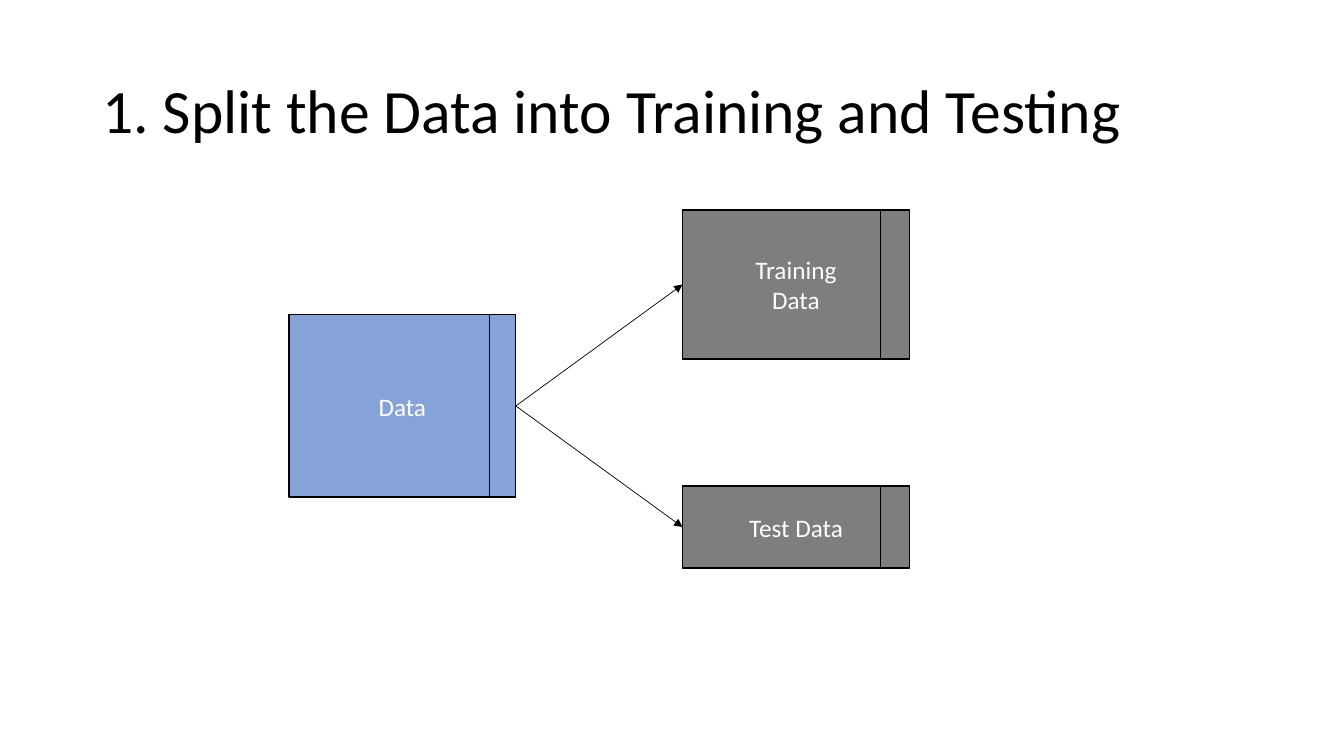
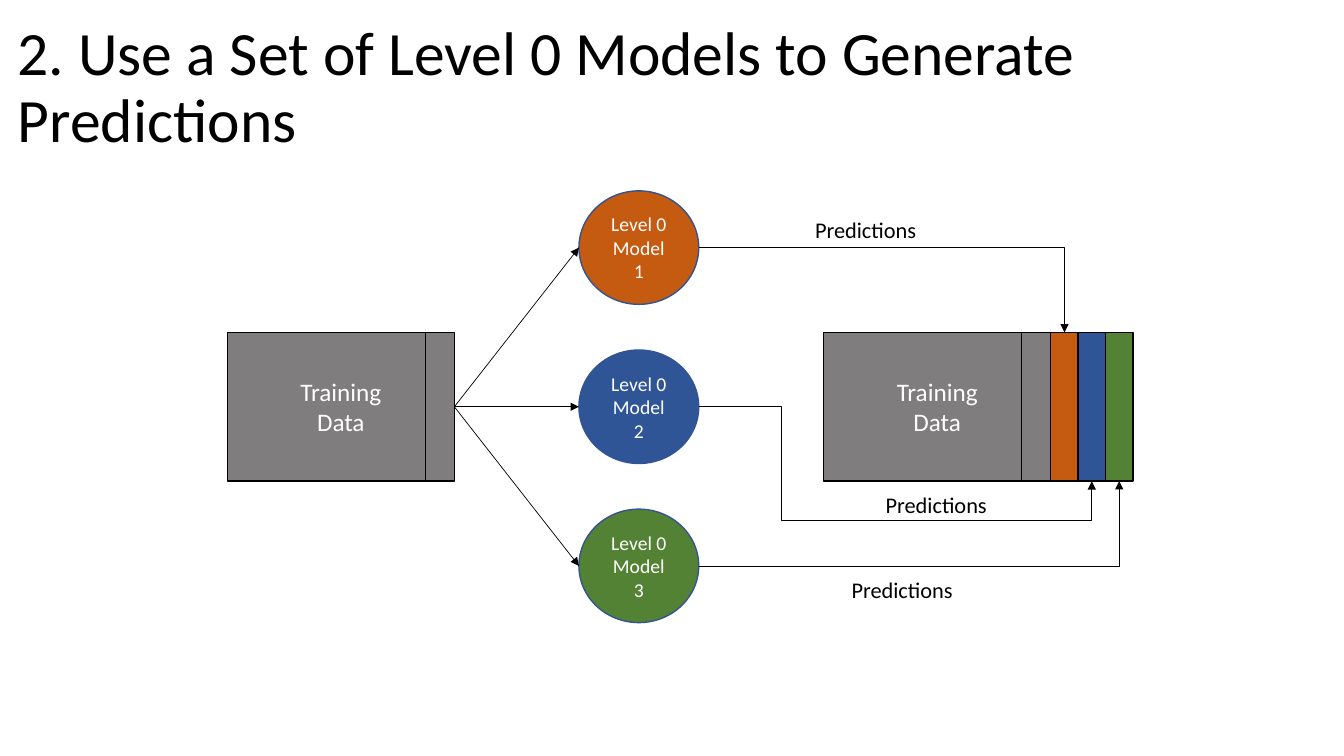
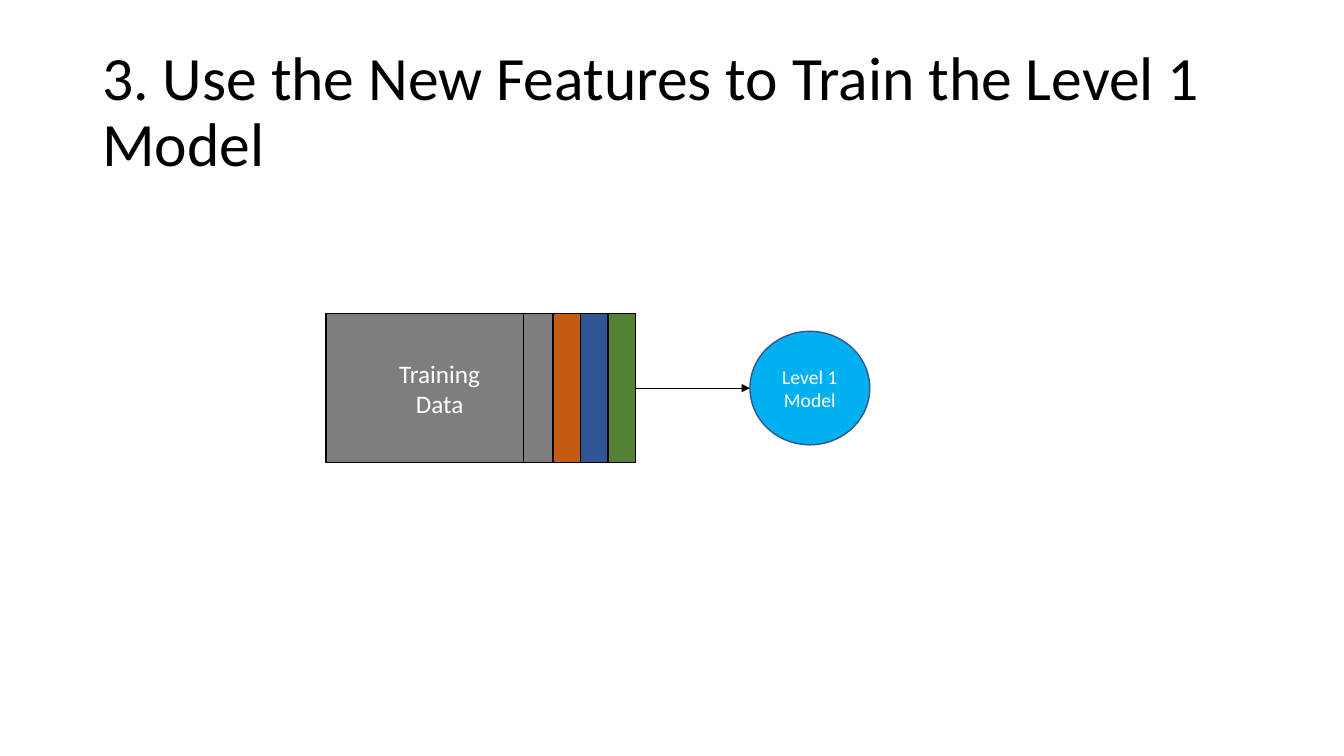
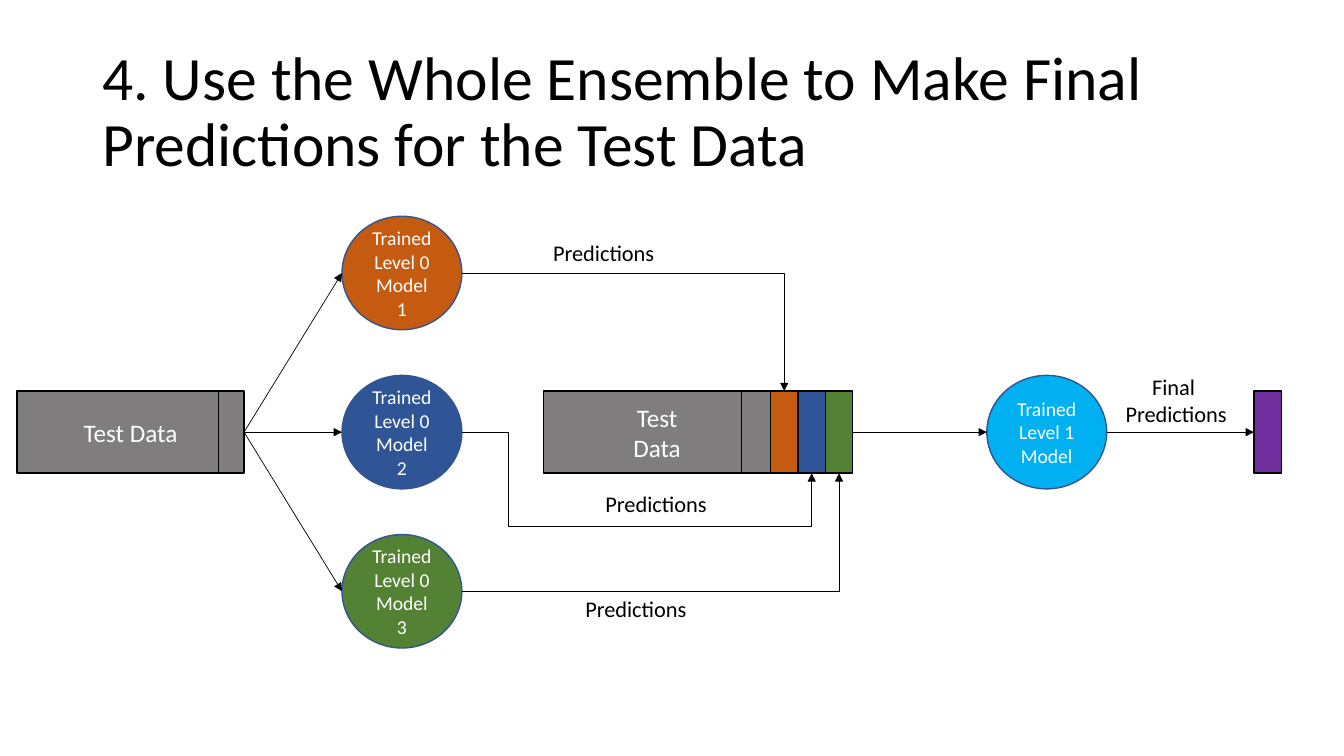
"""Build four slides that explain a stacked ensemble of models."""
from dataclasses import dataclass
from typing import NamedTuple

from lxml.etree import SubElement
from pptx import Presentation
from pptx.dml.color import RGBColor
from pptx.enum.shapes import MSO_CONNECTOR as Link, MSO_SHAPE as Preset
from pptx.enum.text import MSO_ANCHOR as Anchor, MSO_AUTO_SIZE as AutoSize, PP_ALIGN as Align
from pptx.oxml.ns import qn
from pptx.util import Cm, Pt


@dataclass(frozen=True)
class Theme:
    """Colours, type sizes and repeated measures in centimetres."""
    font: str = "Calibri"
    ink: str = "000000"
    paper: str = "FFFFFF"
    source: str = "4472C4"
    table: str = "3B3838"
    rim: str = "325491"
    models: tuple = ("C55A11", "2F5597", "548235")
    final_model: str = "00B0F0"
    result: str = "7030A0"
    table_opacity: int = 65
    title_size: int = 44
    table_size: int = 18
    label_size: int = 16
    model_size: int = 14
    outline: float = 1
    hairline: float = 0.5
    table_width: float = 5.72
    training_height: float = 3.75
    test_height: float = 2.07
    model_width: float = 3.02
    model_height: float = 2.86
    model_pitch: float = 4.01
    column: float = 0.69
    divider: float = 0.74


class Box(NamedTuple):
    """A rectangle in centimetres."""
    left: float
    top: float
    width: float
    height: float

    def lengths(self):
        """Give the four measures as slide lengths."""
        return [Cm(value) for value in self]


THEME = Theme()
TITLE = Box(2.33, 1.02, 29.21, 3.68)
SIDES = ("top", "left", "bottom", "right")


def centred(left, middle, width, height):
    """Give a box from its left edge and vertical middle."""
    return Box(left, middle - height / 2, width, height)


def write(frame, lines, size, colour, align=Align.LEFT, spacing=None):
    """Fill a text frame with one paragraph per line."""
    for index, line in enumerate(lines):
        para = frame.add_paragraph() if index else frame.paragraphs[0]
        para.alignment = align
        para.line_spacing = spacing
        span = para.add_run()
        span.text = line
        span.font.name = THEME.font
        span.font.size = Pt(size)
        span.font.color.rgb = RGBColor.from_string(colour)


def add_title(page, text, box=TITLE):
    """Place the slide title."""
    frame = page.shapes.add_textbox(*box.lengths()).text_frame
    frame.word_wrap = True
    frame.vertical_anchor = Anchor.MIDDLE
    write(frame, [text], THEME.title_size, THEME.ink, spacing=0.9)


def add_label(page, left, top, lines=("Predictions",), height=0.94):
    """Place a caption beside an arrow."""
    frame = page.shapes.add_textbox(*Box(left, top, 3.1, height).lengths()).text_frame
    frame.word_wrap = False
    frame.auto_size = AutoSize.SHAPE_TO_FIT_TEXT
    align = Align.CENTER if len(lines) > 1 else Align.LEFT
    write(frame, lines, THEME.label_size, THEME.ink, align)


def add_block(page, preset, box, fill, edge, lines=(), size=THEME.table_size):
    """Draw a filled and outlined shape with centred text."""
    block = page.shapes.add_shape(preset, *box.lengths())
    block.shadow.inherit = False
    block.fill.solid()
    block.fill.fore_color.rgb = RGBColor.from_string(fill)
    block.line.color.rgb = RGBColor.from_string(edge)
    block.line.width = Pt(THEME.outline)
    block.text_frame.word_wrap = True
    block.text_frame.vertical_anchor = Anchor.MIDDLE
    write(block.text_frame, lines, size, THEME.paper, Align.CENTER)
    return block


def add_line(page, kind, start, end):
    """Draw a thin connector between two points."""
    line = page.shapes.add_connector(kind, *start, *end)
    line.line.color.rgb = RGBColor.from_string(THEME.ink)
    line.line.width = Pt(THEME.hairline)
    SubElement(line.element.spPr, qn("a:effectLst"))
    return line


def site(block, side):
    """Give the point at the middle of one side of a shape."""
    across = {"left": 0, "right": block.width}.get(side, block.width // 2)
    down = {"top": 0, "bottom": block.height}.get(side, block.height // 2)
    return block.left + across, block.top + down


def add_arrow(page, source, target, side="left", bend=None):
    """Join the right of one shape to a side of another with an arrow."""
    start, end = site(source, "right"), site(target, side)
    kind = Link.STRAIGHT if side == "left" else Link.ELBOW
    arrow = add_line(page, kind, start, end)
    SubElement(arrow.element.find(".//" + qn("a:ln")), qn("a:tailEnd"), type="triangle")
    joints = arrow.element.find(".//" + qn("p:cNvCxnSpPr"))
    for tag, block, edge in (("a:stCxn", source, "right"), ("a:endCxn", target, side)):
        step = 2 if block.auto_shape_type == Preset.OVAL else 1
        SubElement(joints, qn(tag), id=str(block.shape_id), idx=str(SIDES.index(edge) * step))
    if kind == Link.ELBOW:
        geometry = arrow.element.find(".//" + qn("a:prstGeom"))
        geometry.set("prst", "bentConnector4" if bend else "bentConnector2")
    if bend:
        reach, drop = (Cm(value) for value in bend)
        ratios = reach / arrow.width, 1 + drop / arrow.height
        guides = geometry.find(qn("a:avLst"))
        for number, ratio in enumerate(ratios, 1):
            SubElement(guides, qn("a:gd"), name=f"adj{number}", fmla=f"val {round(ratio * 100000)}")


def add_table_box(page, left, middle, height, lines, fill=THEME.table, divider=THEME.divider):
    """Draw a data block whose last column is ruled off."""
    box = centred(left, middle, THEME.table_width, height)
    block = add_block(page, Preset.RECTANGLE, box, fill, THEME.ink, lines)
    colour = block.element.spPr.find(qn("a:solidFill")).find(qn("a:srgbClr"))
    SubElement(colour, qn("a:alpha"), val=str(THEME.table_opacity * 1000))
    rule = Cm(left + THEME.table_width - divider)
    add_line(page, Link.STRAIGHT, (rule, block.top), (rule, block.top + block.height))
    return block


def add_column(page, left, middle, height, fill):
    """Draw one column of predictions."""
    box = centred(left, middle, THEME.column, height)
    return add_block(page, Preset.RECTANGLE, box, fill, THEME.ink)


def add_stacked_table(page, left, middle, height, lines):
    """Draw a data block extended by one column per model."""
    add_table_box(page, left, middle, height, lines)
    edge = left + THEME.table_width
    return [add_column(page, edge + index * THEME.column, middle, height, fill)
            for index, fill in enumerate(THEME.models)]


def add_model(page, left, middle, name, fill):
    """Draw one model as an ellipse."""
    box = centred(left, middle, THEME.model_width, THEME.model_height)
    return add_block(page, Preset.OVAL, box, fill, THEME.rim, [name], THEME.model_size)


def add_ensemble(page, table, left, middle, name, stacked, bend):
    """Draw the level 0 models, fed by a table and filling a stacked one."""
    models = [add_model(page, left, middle + (index - 1) * THEME.model_pitch,
                        f"{name} {index + 1}", fill)
              for index, fill in enumerate(THEME.models)]
    columns = add_stacked_table(page, *stacked)
    routes = (("top", None), ("bottom", bend), ("bottom", None))
    for model, column, (side, turn) in zip(models, columns, routes):
        add_arrow(page, table, model)
        add_arrow(page, model, column, side, turn)
    return columns[-1]


def split_slide(page):
    """Show the data split in two."""
    add_title(page, "1. Split the Data into Training and Testing")
    data = add_table_box(page, 7.28, 10.23, 4.6, ["Data"], THEME.source, 0.67)
    parts = ((7.17, THEME.training_height, ["Training", "Data"]),
             (13.28, THEME.test_height, ["Test Data"]))
    for middle, height, lines in parts:
        add_arrow(page, data, add_table_box(page, 17.2, middle, height, lines))


def level_zero_slide(page):
    """Show the level 0 models adding predictions to the training data."""
    add_title(page, "2. Use a Set of Level 0 Models to Generate Predictions",
              Box(0.2, 0.41, 32.66, TITLE.height))
    middle, height, lines = 10.25, THEME.training_height, ["Training", "Data"]
    table = add_table_box(page, 5.73, middle, height, lines)
    add_ensemble(page, table, 14.59, middle, "Level 0 Model",
                 (20.76, middle, height, lines), (2.08, 0.98))
    for left, top in ((20.29, 5.33), (22.07, 12.24), (21.21, 14.4)):
        add_label(page, left, top)


def level_one_slide(page):
    """Show the level 1 model trained on the new features."""
    add_title(page, "3. Use the New Features to Train the Level 1 Model")
    middle = 9.78
    columns = add_stacked_table(page, 8.22, middle, THEME.training_height, ["Training", "Data"])
    model = add_model(page, 18.9, middle, "Level 1 Model", THEME.final_model)
    add_arrow(page, columns[-1], model)


def ensemble_slide(page):
    """Show the whole ensemble predicting the test data."""
    add_title(page, "4. Use the Whole Ensemble to Make Final Predictions for the Test Data")
    middle, height = 10.89, THEME.test_height
    table = add_table_box(page, 0.43, middle, height, ["Test Data"], divider=0.65)
    last = add_ensemble(page, table, 8.62, middle, "Trained Level 0 Model",
                        (13.7, middle, height, ["Test", "Data"]), (1.16, 1.34))
    model = add_model(page, 24.87, middle, "Trained Level 1 Model", THEME.final_model)
    result = add_column(page, 31.6, middle, height, THEME.result)
    add_arrow(page, last, model)
    add_arrow(page, model, result)
    for left, top in ((13.69, 5.89), (15.01, 12.22), (14.5, 14.88)):
        add_label(page, left, top)
    add_label(page, 28.09, 9.27, ("Final ", "Predictions"), 1.63)


def main():
    """Build and save the deck."""
    deck = Presentation()
    deck.slide_width, deck.slide_height = Cm(33.87), Cm(19.05)
    for build in (split_slide, level_zero_slide, level_one_slide, ensemble_slide):
        build(deck.slides.add_slide(deck.slide_layouts[6]))
    deck.save("out.pptx")


main()
